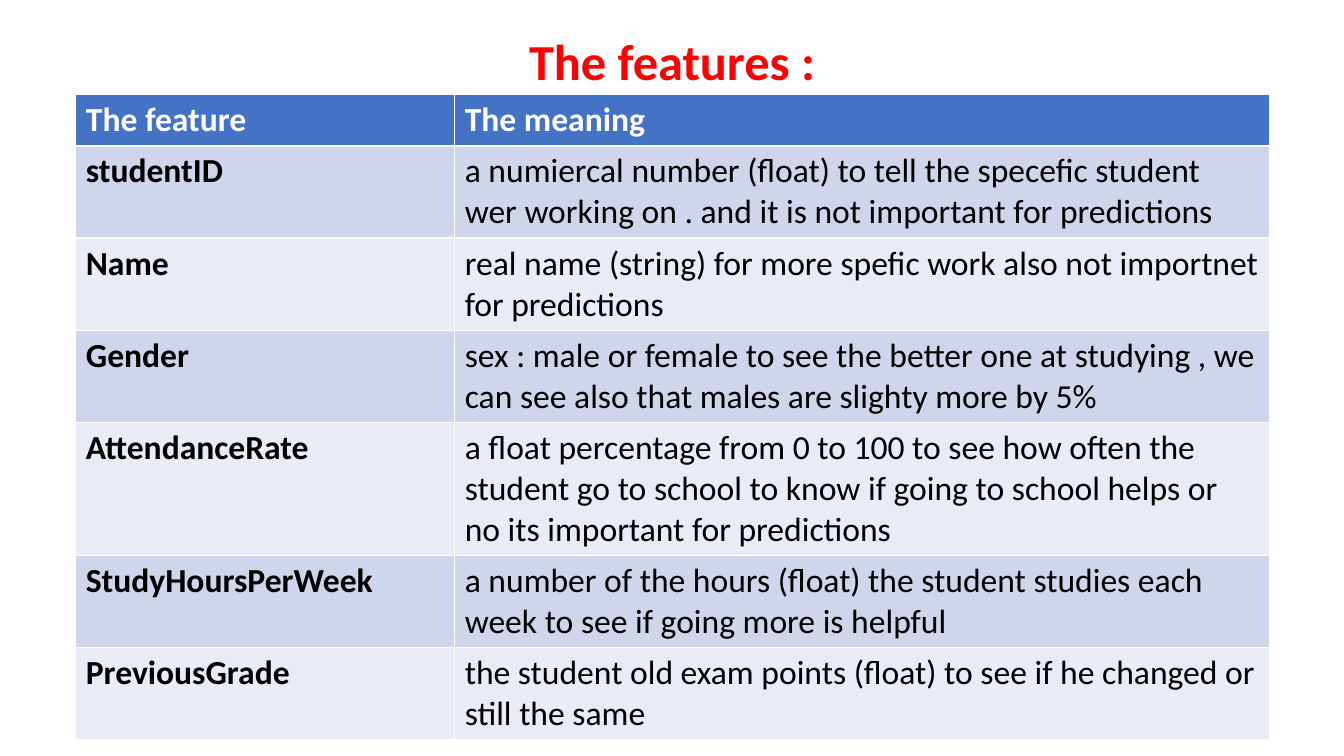
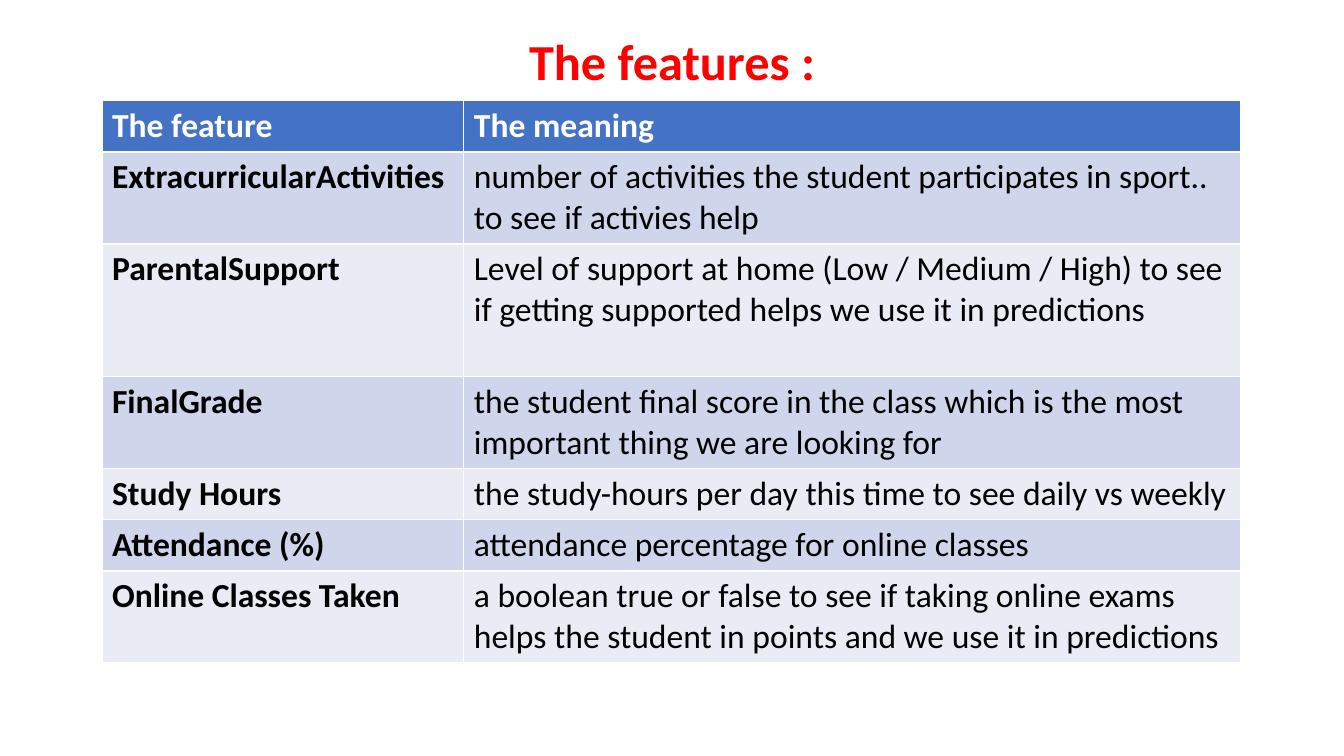
"""Build two slides that explain the features of a student data set."""
from pptx import Presentation
from pptx.dml.color import RGBColor
from pptx.enum.text import MSO_ANCHOR, MSO_AUTO_SIZE, PP_ALIGN
from pptx.util import Cm, Pt

RED = RGBColor(0xFF, 0x00, 0x00)
WHITE = RGBColor(0xFF, 0xFF, 0xFF)
BLACK = RGBColor(0x00, 0x00, 0x00)
HEADER_BLUE = RGBColor(0x44, 0x72, 0xC4)
BANDS = [RGBColor(0xE9, 0xEB, 0xF5), RGBColor(0xCF, 0xD5, 0xEA)]
FONT = "Calibri"
LINE_HEIGHT = 1.03
CELL_PADDING = 0.25
HEADER = ("The feature", "The meaning", 1)

feature_pages = [
    {
        "left": 1.91, "top": 2.39, "widths": (9.55, 20.53),
        "features": [
            ("studentID", "a numiercal number (float) to tell the specefic student "
             "wer working on . and it is not important for predictions", 2),
            ("Name", "real name (string) for more spefic work also not importnet "
             "for predictions", 2),
            ("Gender", "sex : male or female to see the better one at studying , "
             "we can see also that males are slighty more by 5%", 2),
            ("AttendanceRate", "a float percentage from 0 to 100 to see how often "
             "the student go to school to know if going to school helps or no "
             "its important for predictions", 3),
            ("StudyHoursPerWeek", "a number of the hours (float) the student "
             "studies each week to see if going more is helpful", 2),
            ("PreviousGrade", "the student old exam points (float) to see if he "
             "changed or still the same", 2),
        ],
    },
    {
        "left": 2.57, "top": 2.54, "widths": (9.12, 19.58),
        "features": [
            ("ExtracurricularActivities", "number of activities the student "
             "participates in sport.. to see if activies help", 2),
            ("ParentalSupport", "Level of support at home (Low / Medium / High) to "
             "see if getting supported helps we use it in predictions", 3),
            ("FinalGrade", "the student final score in the class which is the most "
             "important thing we are looking for", 2),
            ("Study Hours", "the study-hours per day this time to see daily vs "
             "weekly", 1),
            ("Attendance (%)", "attendance percentage for online classes", 1),
            ("Online Classes Taken", "a boolean true or false to see if taking "
             "online exams helps the student in points and we use it in "
             "predictions", 2),
        ],
    },
]


def set_font(paragraph, size, color, bold):
    paragraph.font.name = FONT
    paragraph.font.size = Pt(size)
    paragraph.font.color.rgb = color
    paragraph.font.bold = bold


deck = Presentation()
deck.slide_width, deck.slide_height = Cm(33.87), Cm(19.05)
title_only = deck.slide_layouts[5]

for page in feature_pages:
    slide = deck.slides.add_slide(title_only)
    title = slide.shapes.title
    title.left, title.top = Cm(9.98), Cm(0.64)
    title.width, title.height = Cm(13.92), Cm(1.8)
    title.text_frame.text = "The features :"
    title.text_frame.auto_size = MSO_AUTO_SIZE.NONE
    title.text_frame.vertical_anchor = MSO_ANCHOR.TOP
    heading = title.text_frame.paragraphs[0]
    heading.alignment = PP_ALIGN.CENTER
    set_font(heading, 36, RED, True)

    rows = [HEADER] + page["features"]
    heights = [Cm(CELL_PADDING + LINE_HEIGHT * lines) for *_, lines in rows]
    widths = [Cm(width) for width in page["widths"]]
    features = slide.shapes.add_table(
        len(rows), len(widths), Cm(page["left"]), Cm(page["top"]),
        sum(widths), sum(heights)).table
    for column, width in zip(features.columns, widths):
        column.width = width

    for row_index, (name, meaning, _) in enumerate(rows):
        features.rows[row_index].height = heights[row_index]
        is_header = row_index == 0
        for column_index, text in enumerate((name, meaning)):
            cell = features.cell(row_index, column_index)
            cell.text = text
            cell.fill.solid()
            cell.fill.fore_color.rgb = HEADER_BLUE if is_header else BANDS[row_index % 2]
            set_font(cell.text_frame.paragraphs[0], 24,
                     WHITE if is_header else BLACK,
                     is_header or column_index == 0)

deck.save("out.pptx")
